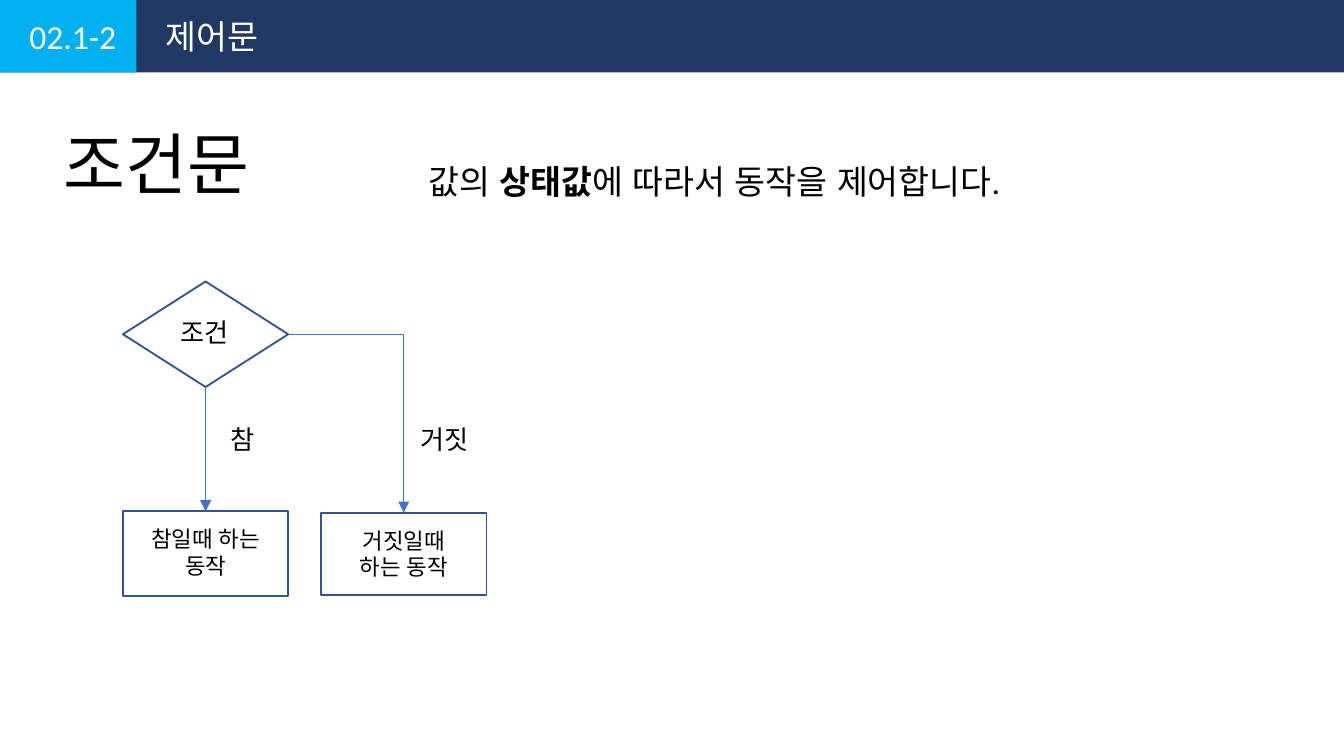
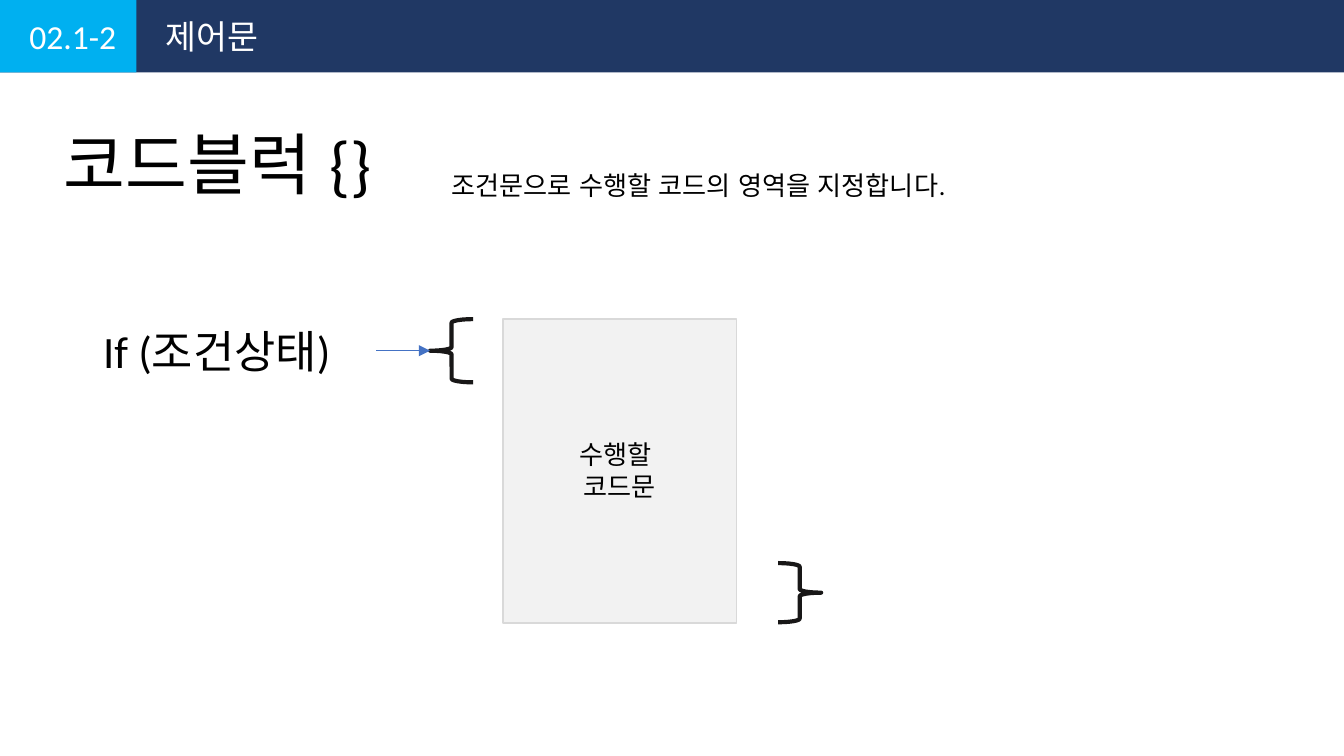
from dataclasses import dataclass

from lxml.etree import SubElement
from pptx import Presentation
from pptx.dml.color import RGBColor
from pptx.enum.lang import MSO_LANGUAGE_ID
from pptx.enum.shapes import MSO_CONNECTOR, MSO_SHAPE
from pptx.enum.text import MSO_AUTO_SIZE, PP_ALIGN
from pptx.oxml.ns import qn
from pptx.util import Inches, Pt

COLUMNS, ROWS = 100, 56.25
CELL = Inches(10) / COLUMNS
FONT = "Calibri"
COLORS = {
    "band": "203864",
    "number": "00B0F0",
    "light": "FFFFFF",
    "text": "000000",
    "outline": "325491",
    "arrow": "4472C4",
    "brace": "181717",
    "code_fill": "F2F2F2",
    "code_line": "D9D9D9",
}


@dataclass
class Box:
    """A rectangle measured in grid columns and rows."""

    left: float
    top: float
    width: float
    height: float

    def inner(self, left, top, width, height):
        """Return a box placed relative to this one."""
        return Box(self.left + left, self.top + top, width, height)

    def emu(self):
        """Return left, top, width and height in slide units."""
        return [cells(n) for n in (self.left, self.top, self.width, self.height)]

    @property
    def center(self):
        """Return the horizontal centre."""
        return self.left + self.width / 2

    @property
    def middle(self):
        """Return the vertical centre."""
        return self.top + self.height / 2

    @property
    def right(self):
        """Return the right edge."""
        return self.left + self.width

    @property
    def bottom(self):
        """Return the bottom edge."""
        return self.top + self.height


def cells(count):
    """Convert a count of grid cells to slide units."""
    return round(count * CELL)


def color(name):
    """Look up a palette colour."""
    return RGBColor.from_string(COLORS[name])


def add_text(slide, box, *lines, size=14, ink="text", align=PP_ALIGN.LEFT, strong=""):
    """Write one paragraph per line, with the strong phrase in bold."""
    frame = slide.shapes.add_textbox(*box.emu()).text_frame
    frame.word_wrap = True
    frame.auto_size = MSO_AUTO_SIZE.SHAPE_TO_FIT_TEXT
    for index, line in enumerate(lines):
        paragraph = frame.add_paragraph() if index else frame.paragraphs[0]
        paragraph.alignment = align
        for part in line.partition(strong) if strong else [line]:
            run = paragraph.add_run()
            run.text = part
            run.font.name = FONT
            run.font.size = Pt(size)
            run.font.bold = bool(strong) and part == strong
            run.font.language_id = MSO_LANGUAGE_ID.KOREAN
            run.font.color.rgb = color(ink)


def add_outline(slide, box, preset, fill=None, line=None, weight=1):
    """Draw a preset shape with an optional fill and line."""
    shape = slide.shapes.add_shape(preset, *box.emu())
    shape.shadow.inherit = False
    if fill:
        shape.fill.solid()
        shape.fill.fore_color.rgb = color(fill)
    else:
        shape.fill.background()
    if line:
        shape.line.color.rgb = color(line)
        shape.line.width = Pt(weight)
    else:
        shape.line.fill.background()


def add_arrow(slide, start, end, kind=MSO_CONNECTOR.STRAIGHT, preset=None):
    """Draw a thin arrow between two grid points."""
    arrow = slide.shapes.add_connector(kind, *map(cells, (*start, *end)))
    arrow.line.color.rgb = color("arrow")
    arrow.line.width = Pt(0.5)
    properties = arrow.element.spPr
    SubElement(properties.find(qn("a:ln")), qn("a:tailEnd"), type="triangle")
    SubElement(properties, qn("a:effectLst"))
    if preset:
        properties.find(qn("a:prstGeom")).set("prst", preset)


def add_header(slide, box):
    """Draw the top band with section number and name."""
    add_outline(slide, box, MSO_SHAPE.RECTANGLE, fill="band")
    number = box.inner(0, 0, 10.15, box.height)
    add_outline(slide, number, MSO_SHAPE.RECTANGLE, fill="number")
    add_text(slide, box.inner(1.2, 0.7, 9, 4), "02.1-2", size=18, ink="light")
    add_text(slide, box.inner(11.35, 0.7, 51.6, 4), "제어문", size=18, ink="light")


def add_flowchart(slide, box):
    """Draw a condition that branches to a true and a false action."""
    condition = box.inner(0, 0, 12.3, 7.85)
    true_action = box.inner(0, 17.1, 12.3, 6.3)
    false_action = box.inner(14.75, 17.2, 12.3, 6.15)
    add_outline(slide, condition, MSO_SHAPE.DIAMOND, line="outline")
    add_text(slide, condition.inner(2, 2.1, 8.2, 3.4), "조건", align=PP_ALIGN.CENTER)
    add_arrow(slide, (condition.center, condition.bottom),
              (true_action.center, true_action.top))
    add_arrow(slide, (condition.right, condition.middle),
              (false_action.center, false_action.top),
              MSO_CONNECTOR.ELBOW, "bentConnector2")
    branches = [
        (true_action, "참", "참일때 하는 동작"),
        (false_action, "거짓", "거짓일때 하는 동작"),
    ]
    for index, (action, outcome, description) in enumerate(branches):
        add_outline(slide, action, MSO_SHAPE.RECTANGLE, line="outline")
        add_text(slide, box.inner(4.8 + 15 * index, 10.05, 8.2, 3.4), outcome,
                 align=PP_ALIGN.CENTER)
        add_text(slide, action.inner(0.6, 0.55, 11.1, 5), description,
                 size=12, align=PP_ALIGN.CENTER)


def add_code_block(slide, box):
    """Draw an if statement whose braces enclose a block of code."""
    statement = box.inner(0, -0.15, 21.3, 5)
    opening = box.inner(25.3, 0, 3.2, 4.7)
    closing = box.inner(51.2, 18.15, 3.2, 4.4)
    code = box.inner(30.7, 0, 17.4, box.height)
    add_outline(slide, opening, MSO_SHAPE.LEFT_BRACE, line="brace", weight=2.25)
    add_outline(slide, closing, MSO_SHAPE.RIGHT_BRACE, line="brace", weight=2.25)
    add_outline(slide, code, MSO_SHAPE.RECTANGLE, fill="code_fill", line="code_line")
    add_text(slide, code.inner(3.9, 8.4, 9.6, 5.7), "수행할 ", "코드문",
             align=PP_ALIGN.CENTER)
    add_text(slide, statement, "If (조건상태)", size=24)
    add_arrow(slide, (statement.right, statement.middle),
              (opening.left, statement.middle), MSO_CONNECTOR.ELBOW)


def add_topic(deck, title, summary, summary_box, **summary_format):
    """Add a slide with the header, a title and a summary beside it."""
    slide = deck.slides.add_slide(deck.slide_layouts[6])
    page = Box(0, 0, COLUMNS, ROWS)
    add_header(slide, page.inner(0, 0, page.width, 5.4))
    add_text(slide, page.inner(3.75, 8.6, 27.1, 7.1), title, size=36)
    add_text(slide, summary_box, summary, **summary_format)
    return slide


def main():
    """Build and save both slides."""
    deck = Presentation()
    deck.slide_width, deck.slide_height = cells(COLUMNS), cells(ROWS)
    conditional = add_topic(deck, "조건문", "값의 상태값에 따라서 동작을 제어합니다.",
                            Box(30.9, 11.5, 50.6, 4), size=18, strong="상태값")
    add_flowchart(conditional, Box(9.15, 20.95, 27, 23.4))
    block = add_topic(deck, "코드블럭 {}", "조건문으로 수행할 코드의 영역을 지정합니다.",
                      Box(32.6, 12.1, 44.9, 3.4))
    add_code_block(block, Box(6.7, 23.75, 54.4, 22.6))
    deck.save("out.pptx")


if __name__ == "__main__":
    main()
